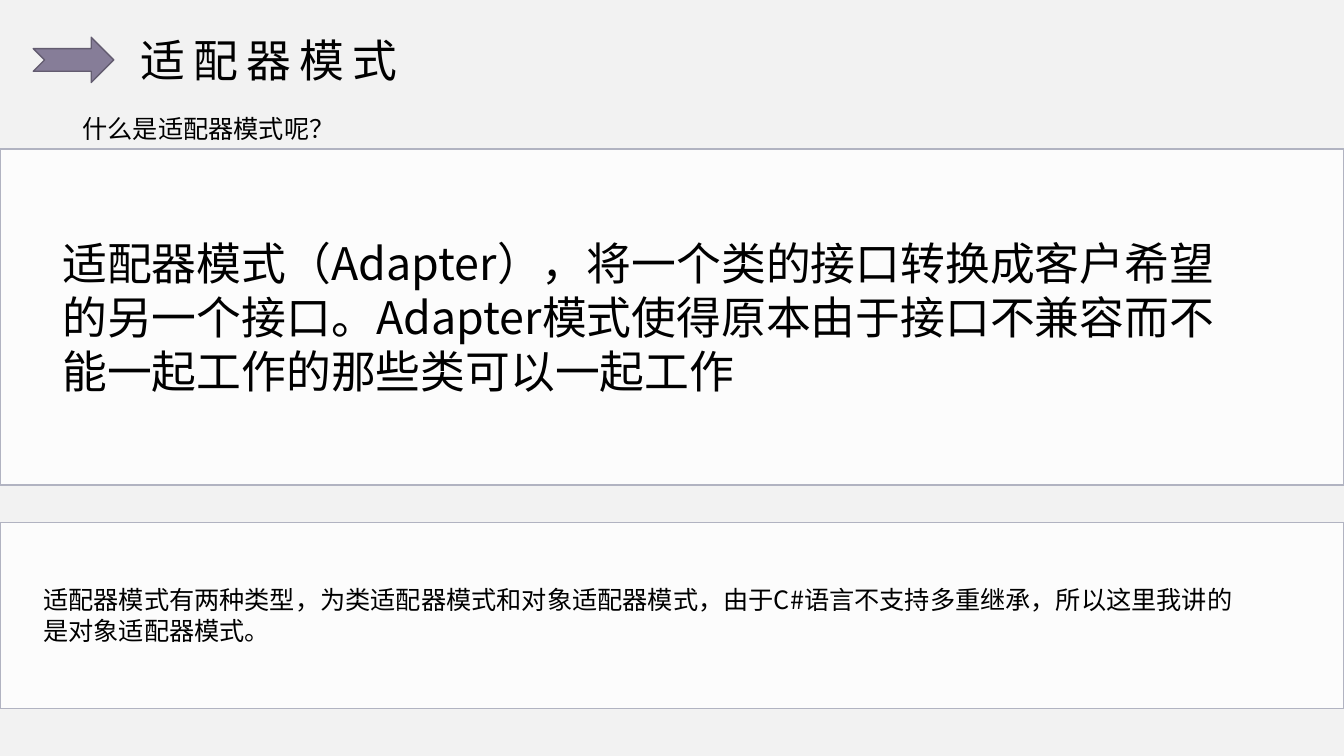
"""Build the slide that explains the adapter pattern."""
import pptx
import pptx.dml.color
import pptx.enum.shapes
import pptx.enum.text
import pptx.oxml
import pptx.oxml.ns
import pptx.util

Cm = pptx.util.Cm
Pt = pptx.util.Pt
RGB = pptx.dml.color.RGBColor
KIND = pptx.enum.shapes.MSO_SHAPE
NS = pptx.oxml.ns.nsdecls("a")

GREY = RGB(0xF2, 0xF2, 0xF2)
PLUM = RGB(0x86, 0x7D, 0x98)
EDGE = RGB(0x63, 0x5C, 0x70)
WHITE = RGB(0xFF, 0xFF, 0xFF)
RIM = RGB(0xB1, 0xB3, 0xC1)
BLACK = RGB(0, 0, 0)
FONT = "Noto Sans CJK SC"
WIDE = 33.87

deck = pptx.Presentation()
deck.slide_width = Cm(WIDE)
deck.slide_height = Cm(19.05)
slide = deck.slides.add_slide(deck.slide_layouts[6])
slide.background.fill.solid()
slide.background.fill.fore_color.rgb = GREY


def add_form(kind, place, fill, line):
    form = slide.shapes.add_shape(kind, *map(Cm, place))
    form.shadow.inherit = False
    form.fill.solid()
    form.fill.fore_color.rgb = fill
    form.line.color.rgb = line
    form.line.width = Pt(1)
    return form


def add_text(place, words, size):
    box = slide.shapes.add_textbox(*map(Cm, place))
    frame = box.text_frame
    setup = {
        "word_wrap": True,
        "auto_size": pptx.enum.text.MSO_AUTO_SIZE.SHAPE_TO_FIT_TEXT,
    }
    for name, value in setup.items():
        setattr(frame, name, value)
    run = frame.paragraphs[0].add_run()
    run.text = words
    for name, value in {"name": FONT, "size": Pt(size)}.items():
        setattr(run.font, name, value)
    run.font.color.rgb = BLACK
    props = run._r.get_or_add_rPr()
    props.set("lang", "zh-CN")
    props.append(pptx.oxml.parse_xml(f'<a:ea {NS} typeface="{FONT}"/>'))
    return props


add_form(KIND.NOTCHED_RIGHT_ARROW, (0.84, 0.94, 2.03, 1.14), PLUM, EDGE)
title = add_text((3.28, 0.71, 25.48, 1.63), "适配器模式", 32)
title.set("spc", "600")
add_text((1.83, 2.74, 14.73, 1.02), "什么是适配器模式呢？", 18)

panels = [
    (3.76, 8.46, (1.32, 5.82, 30.48, 4.37), 32,
     "适配器模式（Adapter），将一个类的接口转换成客户希望的另一个接口。"
     "Adapter模式使得原本由于接口不兼容而不能一起工作的那些类可以一起工作"),
    (13.16, 4.7, (0.84, 14.61, 30.99, 1.8), 18,
     "适配器模式有两种类型，为类适配器模式和对象适配器模式，"
     "由于C#语言不支持多重继承，所以这里我讲的是对象适配器模式。"),
]
for top, high, place, size, words in panels:
    panel = add_form(KIND.RECTANGLE, (0, top, WIDE, high), WHITE, RIM)
    tint = panel.fill._xPr.find(".//" + pptx.oxml.ns.qn("a:srgbClr"))
    tint.append(pptx.oxml.parse_xml(f'<a:alpha {NS} val="80000"/>'))
    add_text(place, words, size)

deck.save("out.pptx")
